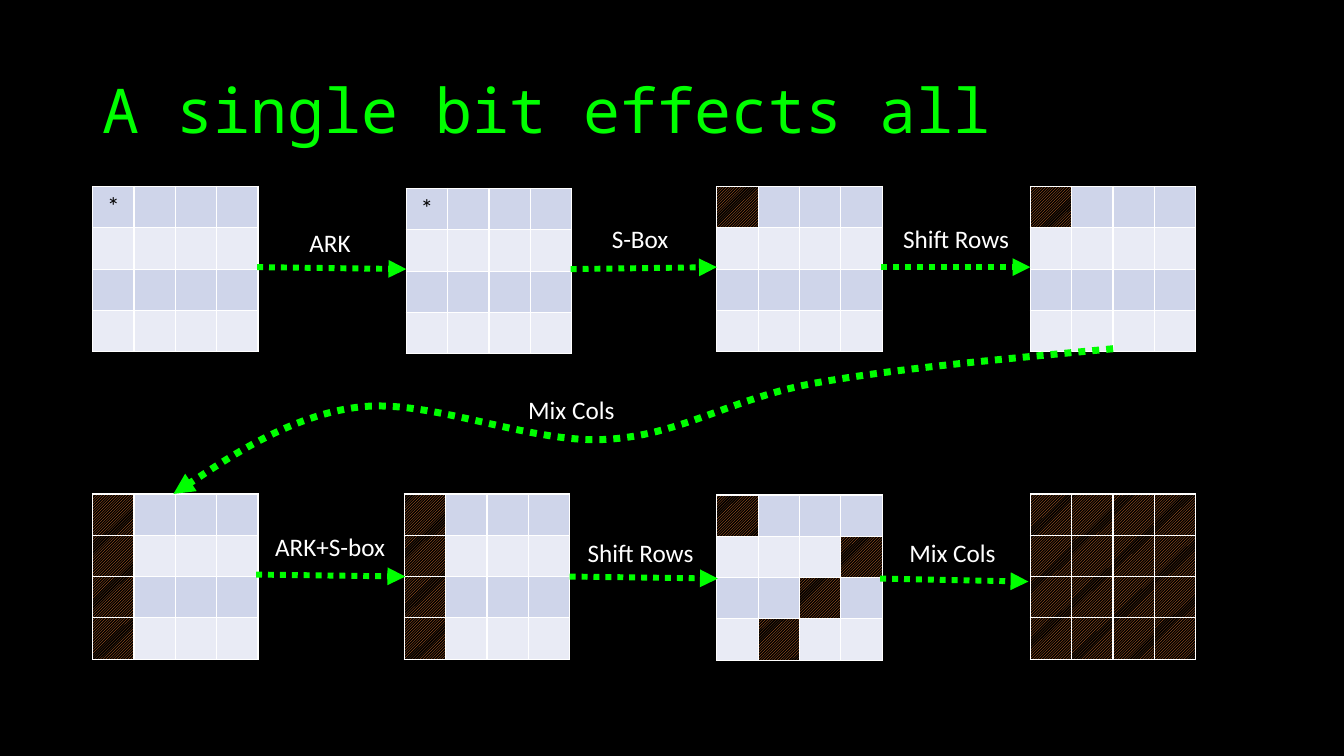
from lxml import etree
from pptx import Presentation
from pptx import util as u
from pptx.dml.color import RGBColor
from pptx.enum import dml, text
from pptx.oxml.ns import qn

BLACK = RGBColor(0x00, 0x00, 0x00)
WHITE = RGBColor(0xFF, 0xFF, 0xFF)
GREEN = RGBColor(0x00, 0xFF, 0x00)
ORANGE = RGBColor(0xED, 0x7D, 0x31)
BANDS = (RGBColor(0xCF, 0xD5, 0xEA), RGBColor(0xE9, 0xEB, 0xF5))

SIZE = 4
CELL = 0.41
FIRST_CELL = {(0, 0)}
FIRST_COLUMN = {(row, 0) for row in range(SIZE)}
SHIFTED = {(row, -row % SIZE) for row in range(SIZE)}
ALL_CELLS = {(row, col) for row in range(SIZE) for col in range(SIZE)}

# left, top, affected cells, mark in the first cell
STATES = [
    (0.92, 1.85, set(), "*"),
    (4.03, 1.87, set(), "*"),
    (7.11, 1.85, FIRST_CELL, ""),
    (10.22, 1.85, FIRST_CELL, ""),
    (0.92, 4.9, FIRST_COLUMN, ""),
    (4.01, 4.9, FIRST_COLUMN, ""),
    (7.11, 4.91, SHIFTED, ""),
    (10.22, 4.9, ALL_CELLS, ""),
]

# arrow start, arrow end
ARROWS = [
    ((2.55, 2.65), (4.03, 2.67)),
    ((5.66, 2.67), (7.11, 2.65)),
    ((8.74, 2.65), (10.22, 2.65)),
    ((2.54, 5.7), (4.02, 5.72)),
    ((5.65, 5.72), (7.12, 5.74)),
    ((8.73, 5.74), (10.2, 5.77)),
]

# text, left, top, width
LABELS = [
    ("ARK", 2.97, 2.21, 0.65),
    ("S-Box", 5.97, 2.17, 0.87),
    ("Shift Rows", 8.86, 2.17, 1.34),
    ("Mix Cols", 5.14, 3.86, 1.08),
    ("ARK+S-box", 2.63, 5.22, 1.65),
    ("Shift Rows", 5.73, 5.28, 1.34),
    ("Mix Cols", 8.92, 5.28, 1.08),
]

# start point, then two control points and an end point per curve
CURVE = [
    (11.04, 3.46),
    (9.99, 3.56), (8.93, 3.65), (8.09, 3.8),
    (7.25, 3.95), (6.76, 4.32), (6, 4.36),
    (5.24, 4.4), (4.26, 3.95), (3.55, 4.04),
    (2.84, 4.13), (1.72, 4.9), (1.72, 4.9),
]


def set_values(obj, values):
    for name, value in values.items():
        setattr(obj, name, value)


def format_font(font, name, size, color):
    set_values(font, {"name": name, "size": u.Pt(size), "bold": False})
    font.color.rgb = color


def add_title(s, words):
    title = s.shapes.title
    set_values(title, {"left": u.Inches(0.92), "top": u.Inches(0.4),
                       "width": u.Inches(11.5), "height": u.Inches(1.45)})
    tf = title.text_frame
    set_values(tf, {"text": words, "word_wrap": True,
                    "vertical_anchor": text.MSO_ANCHOR.MIDDLE})
    p = tf.paragraphs[0]
    set_values(p, {"alignment": text.PP_ALIGN.LEFT, "line_spacing": 0.9})
    format_font(p.runs[0].font, "Noto Sans Mono", 44, GREEN)


def add_borders(cell):
    tc_pr = cell._tc.get_or_add_tcPr()
    for place, side in enumerate(("lnL", "lnR", "lnT", "lnB")):
        ln = etree.Element(qn("a:" + side), w=str(u.Pt(1)))
        fill = etree.SubElement(ln, qn("a:solidFill"))
        etree.SubElement(fill, qn("a:srgbClr"), val=str(WHITE))
        tc_pr.insert(place, ln)


def fill_cell(cell, band, affected):
    if affected:
        cell.fill.patterned()
        cell.fill.pattern = dml.MSO_PATTERN.LIGHT_UPWARD_DIAGONAL
        cell.fill.fore_color.rgb = ORANGE
        cell.fill.back_color.rgb = BLACK
    else:
        cell.fill.solid()
        cell.fill.fore_color.rgb = band


def add_state(s, left, top, affected, mark):
    side = u.Inches(SIZE * CELL)
    table = s.shapes.add_table(SIZE, SIZE, u.Inches(left), u.Inches(top),
                               side, side).table
    table.first_row = False
    for row, col in sorted(ALL_CELLS):
        cell = table.cell(row, col)
        fill_cell(cell, BANDS[row % 2], (row, col) in affected)
        add_borders(cell)
    if mark:
        p = table.cell(0, 0).text_frame.paragraphs[0]
        p.alignment = text.PP_ALIGN.CENTER
        r = p.add_run()
        r.text = mark
        format_font(r.font, "Calibri", 18, BLACK)


def format_arrow(sp, width):
    line = sp.line
    line.color.rgb = GREEN
    set_values(line, {"width": u.Pt(width),
                      "dash_style": dml.MSO_LINE.ROUND_DOT})
    etree.SubElement(line._get_or_add_ln(), qn("a:tailEnd"), type="triangle")


def add_arrow(s, start, end):
    points = [u.Inches(value) for value in start + end]
    sp = s.shapes.add_connector(1, *points)
    format_arrow(sp, 4.25)
    etree.SubElement(sp._element.spPr, qn("a:effectLst"))


def add_curved_arrow(s, points):
    points = [(u.Inches(x), u.Inches(y)) for x, y in points]
    builder = s.shapes.build_freeform(*points[0])
    builder.add_line_segments(points[1:], close=False)
    sp = builder.convert_to_shape()
    sp.shadow.inherit = False
    sp.fill.background()
    format_arrow(sp, 5)
    # Join every three segments into one Bezier curve
    segments = list(sp._element.iter(qn("a:lnTo")))
    outline = segments[0].getparent()
    for first in range(0, len(segments), 3):
        bezier = etree.SubElement(outline, qn("a:cubicBezTo"))
        for segment in segments[first:first + 3]:
            bezier.append(segment[0])
            outline.remove(segment)


def add_label(s, words, left, top, width):
    box = s.shapes.add_textbox(u.Inches(left), u.Inches(top),
                               u.Inches(width), u.Inches(0.4))
    tf = box.text_frame
    set_values(tf, {"word_wrap": True,
                    "auto_size": text.MSO_AUTO_SIZE.SHAPE_TO_FIT_TEXT})
    r = tf.paragraphs[0].add_run()
    r.text = words
    format_font(r.font, "Calibri", 18, WHITE)


def main():
    prs = Presentation()
    set_values(prs, {"slide_width": u.Inches(13.33),
                     "slide_height": u.Inches(7.5)})
    s = prs.slides.add_slide(prs.slide_layouts[5])
    s.background.fill.solid()
    s.background.fill.fore_color.rgb = BLACK

    add_title(s, "A single bit effects all")

    # Cipher states
    for state in STATES:
        add_state(s, *state)

    # Steps between the states
    for start, end in ARROWS:
        add_arrow(s, start, end)
    add_curved_arrow(s, CURVE)
    for label in LABELS:
        add_label(s, *label)

    prs.save("out.pptx")


if __name__ == "__main__":
    main()
